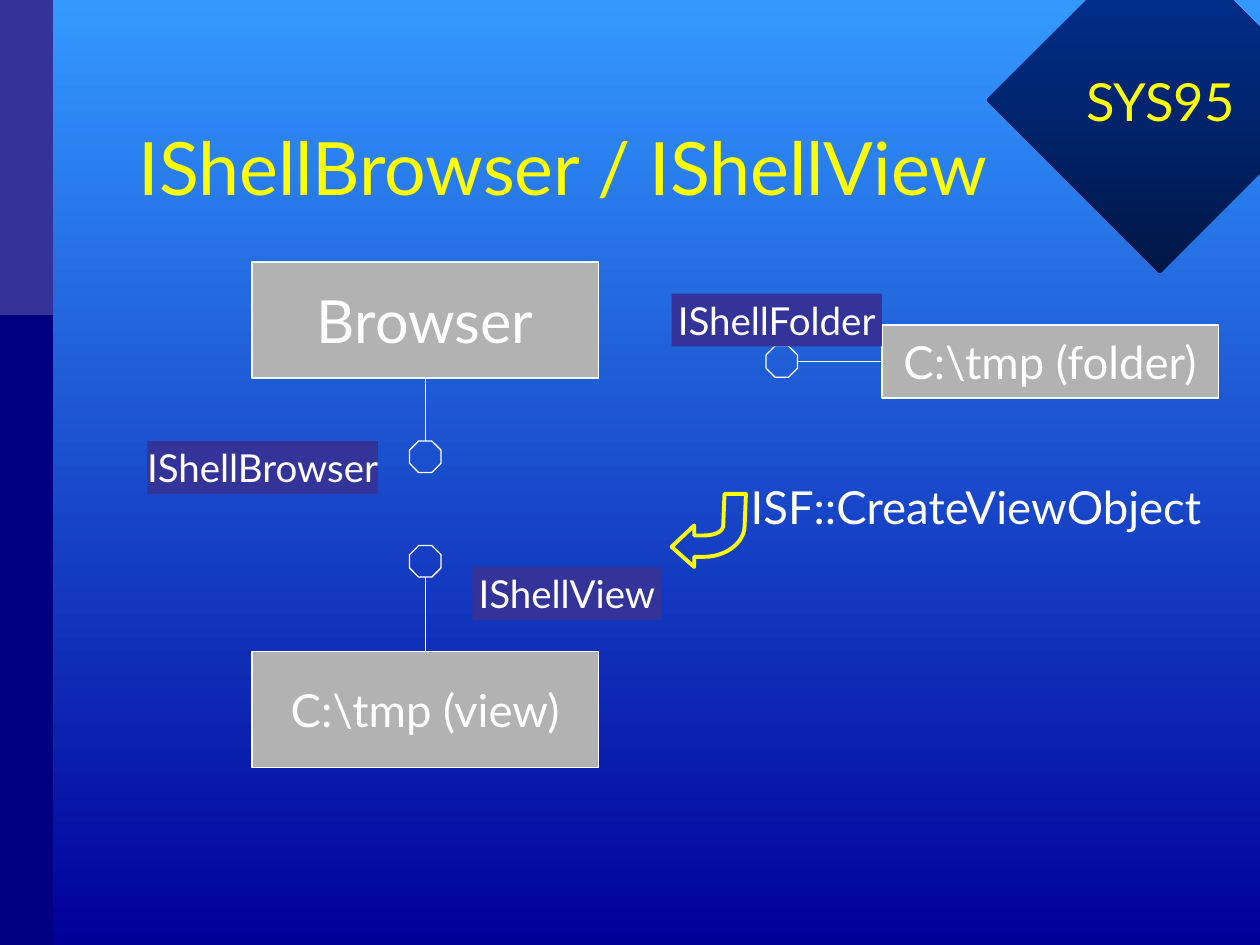
from lxml.etree import SubElement
from pptx import Presentation
from pptx.dml.color import RGBColor
from pptx.enum.shapes import MSO_CONNECTOR, MSO_SHAPE
from pptx.enum.text import MSO_ANCHOR, PP_ALIGN
from pptx.oxml.ns import qn
from pptx.util import Inches, Pt

COLORS = {
    "sky": "3399FF", "deep": "000099", "royal": "003399", "night": "001746",
    "navy": "000080", "indigo": "333399", "gray": "B2B2B2",
    "white": "FFFFFF", "yellow": "FFFF00",
}
FONT = "Lato"
PORT_SIZE = 0.25
TOP, LEFT, BOTTOM = 0, 1, 2


def color(name):
    return RGBColor.from_string(COLORS[name])


def write_text(shape, text, size, font_color="white", align=PP_ALIGN.CENTER,
               anchor=MSO_ANCHOR.MIDDLE, wrap=False, line_spacing=None):
    frame = shape.text_frame
    frame.word_wrap = wrap
    frame.vertical_anchor = anchor
    paragraph = frame.paragraphs[0]
    paragraph.text = text
    paragraph.alignment = align
    paragraph.line_spacing = line_spacing
    paragraph.font.name = FONT
    paragraph.font.size = Pt(size)
    paragraph.font.color.rgb = color(font_color)


def fill_gradient(fill, top, bottom):
    fill.gradient()
    fill.gradient_angle = 270
    for stop, name in zip(fill.gradient_stops, (top, bottom)):
        stop.color.rgb = color(name)


def curve_points(start, control_1, control_2, end, steps=12):
    """Points along a cubic curve, without its start."""
    points = []
    for step in range(1, steps + 1):
        t = step / steps
        weights = ((1 - t) ** 3, 3 * t * (1 - t) ** 2, 3 * t ** 2 * (1 - t), t ** 3)
        corners = (start, control_1, control_2, end)
        points.append(tuple(sum(w * corner[axis] for w, corner in zip(weights, corners))
                            for axis in (0, 1)))
    return points


class SlideBuilder:
    def __init__(self, slide):
        self.slide = slide
        self.shapes = slide.shapes

    def style(self, shape, fill=None, line=None, line_width=0.75):
        shape.shadow.inherit = False
        if fill:
            shape.fill.solid()
            shape.fill.fore_color.rgb = color(fill)
        else:
            shape.fill.background()
        if line:
            shape.line.color.rgb = color(line)
            shape.line.width = Pt(line_width)
        else:
            shape.line.fill.background()

    def shape(self, kind, left, top, width, height, **look):
        shape = self.shapes.add_shape(kind, Inches(left), Inches(top),
                                      Inches(width), Inches(height))
        self.style(shape, **look)
        return shape

    def title(self, text, left, top, width, height, **text_format):
        title = self.shapes.title
        title.left, title.top = Inches(left), Inches(top)
        title.width, title.height = Inches(width), Inches(height)
        write_text(title, text, **text_format)

    def text(self, text, left, top, width, height, **text_format):
        box = self.shapes.add_textbox(Inches(left), Inches(top),
                                      Inches(width), Inches(height))
        write_text(box, text, **text_format)

    def component(self, text, left, top, width, height, size):
        box = self.shape(MSO_SHAPE.RECTANGLE, left, top, width, height,
                         fill="gray", line="white")
        write_text(box, text, size=size)
        return box

    def label(self, text, left, top, width):
        box = self.shape(MSO_SHAPE.RECTANGLE, left, top, width, 0.42, fill="indigo")
        write_text(box, text, size=22)

    def port(self, component, side, gap):
        """Octagon joined by a line to the middle of a component's side."""
        left, top = component.left.inches, component.top.inches
        width, height = component.width.inches, component.height.inches
        x, y, away_x, away_y = {
            TOP: (left + width / 2, top, 0, -1),
            LEFT: (left, top + height / 2, -1, 0),
            BOTTOM: (left + width / 2, top + height, 0, 1),
        }[side]
        reach = gap + PORT_SIZE / 2
        octagon = self.shape(MSO_SHAPE.OCTAGON, x + away_x * reach - PORT_SIZE / 2,
                             y + away_y * reach - PORT_SIZE / 2,
                             PORT_SIZE, PORT_SIZE, line="white")
        octagon.adjustments[0] = 0.29
        line = self.shapes.add_connector(
            MSO_CONNECTOR.STRAIGHT, Inches(x + away_x * gap), Inches(y + away_y * gap),
            Inches(x), Inches(y))
        line.end_connect(component, side)
        line.line.color.rgb = color("white")
        line.line.width = Pt(0.75)
        SubElement(line._element.spPr, qn("a:effectLst"))

    def outline(self, points, **look):
        start, *others = [(Inches(x), Inches(y)) for x, y in points]
        builder = self.shapes.build_freeform(*start)
        builder.add_line_segments(others, close=True)
        self.style(builder.convert_to_shape(), **look)


def main():
    presentation = Presentation()
    presentation.slide_width, presentation.slide_height = Inches(10), Inches(7.5)
    slide = presentation.slides.add_slide(presentation.slide_layouts[5])
    fill_gradient(slide.background.fill, "sky", "deep")
    builder = SlideBuilder(slide)

    diamond = builder.shape(MSO_SHAPE.DIAMOND, 7.83, -0.58, 2.75, 2.75)
    fill_gradient(diamond.fill, "royal", "night")
    for height, fill in ((7.5, "navy"), (2.5, "indigo")):
        builder.shape(MSO_SHAPE.RECTANGLE, 0, 0, 0.42, height, fill=fill)

    builder.title("IShellBrowser / IShellView", 1, 0.75, 8, 1.25, size=42,
                  font_color="yellow", align=PP_ALIGN.LEFT, wrap=True, line_spacing=0.85)
    builder.text("SYS95", 8.42, 0.25, 1.58, 1.17, size=30,
                 font_color="yellow", wrap=True, line_spacing=0.85)

    folder = builder.component("C:\\tmp (folder)", 7, 2.58, 2.67, 0.58, size=26)
    browser = builder.component("Browser", 2, 2.08, 2.75, 0.92, size=34)
    view = builder.component("C:\\tmp (view)", 2, 5.17, 2.75, 0.92, size=26)

    builder.port(folder, LEFT, gap=0.67)
    builder.port(browser, BOTTOM, gap=0.5)
    builder.port(view, TOP, gap=0.59)

    builder.label("IShellFolder", 5.33, 2.33, 1.67)
    builder.label("IShellBrowser", 1.17, 3.5, 1.83)
    builder.label("IShellView", 3.75, 4.5, 1.5)

    builder.text("ISF::CreateViewObject", 5.86, 3.75, 3.92, 0.54, size=26,
                 align=PP_ALIGN.LEFT, anchor=MSO_ANCHOR.TOP)

    outer_curve = curve_points((5.91, 4.17), (5.91, 4.31), (5.76, 4.42), (5.58, 4.42))
    inner_curve = curve_points((5.58, 4.25), (5.67, 4.25), (5.74, 4.22), (5.74, 4.17))
    arrow_head = [(5.51, 4.42), (5.51, 4.5), (5.33, 4.34), (5.51, 4.17), (5.51, 4.25)]
    builder.outline([(5.92, 3.92), (5.91, 4.17), *outer_curve, *arrow_head,
                     (5.58, 4.25), *inner_curve, (5.75, 3.92)],
                    line="yellow", line_width=2.25)

    presentation.save("out.pptx")


if __name__ == "__main__":
    main()
